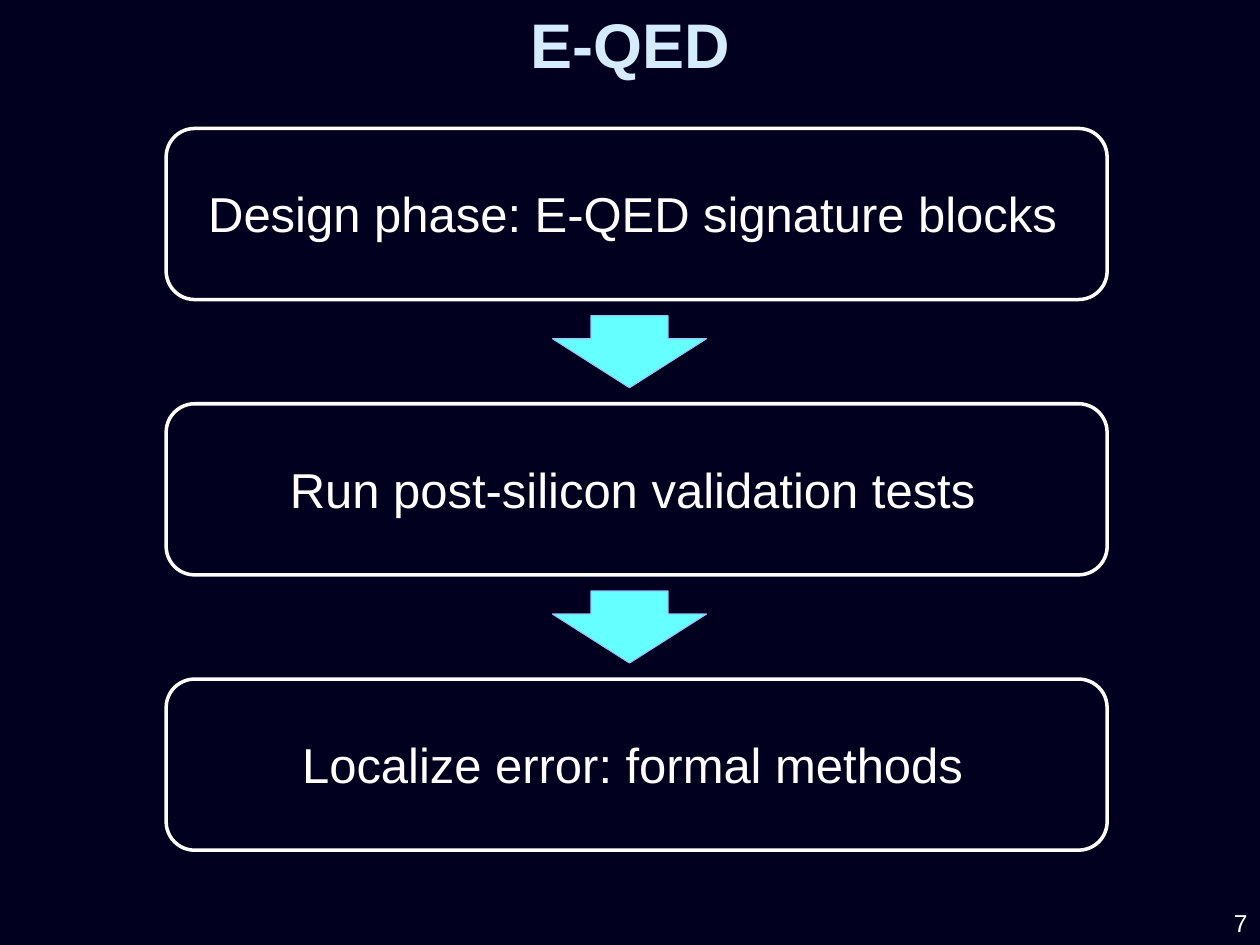
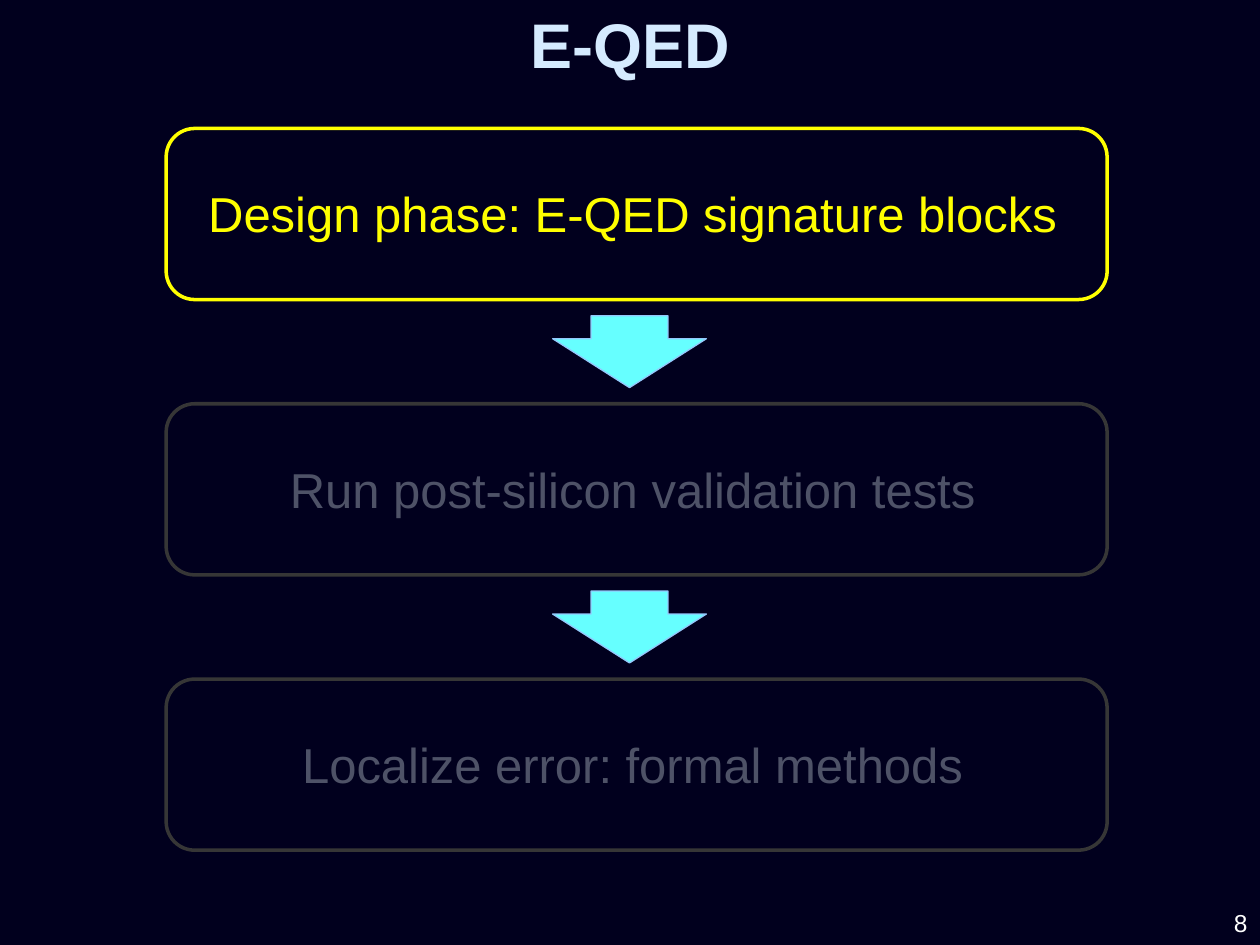
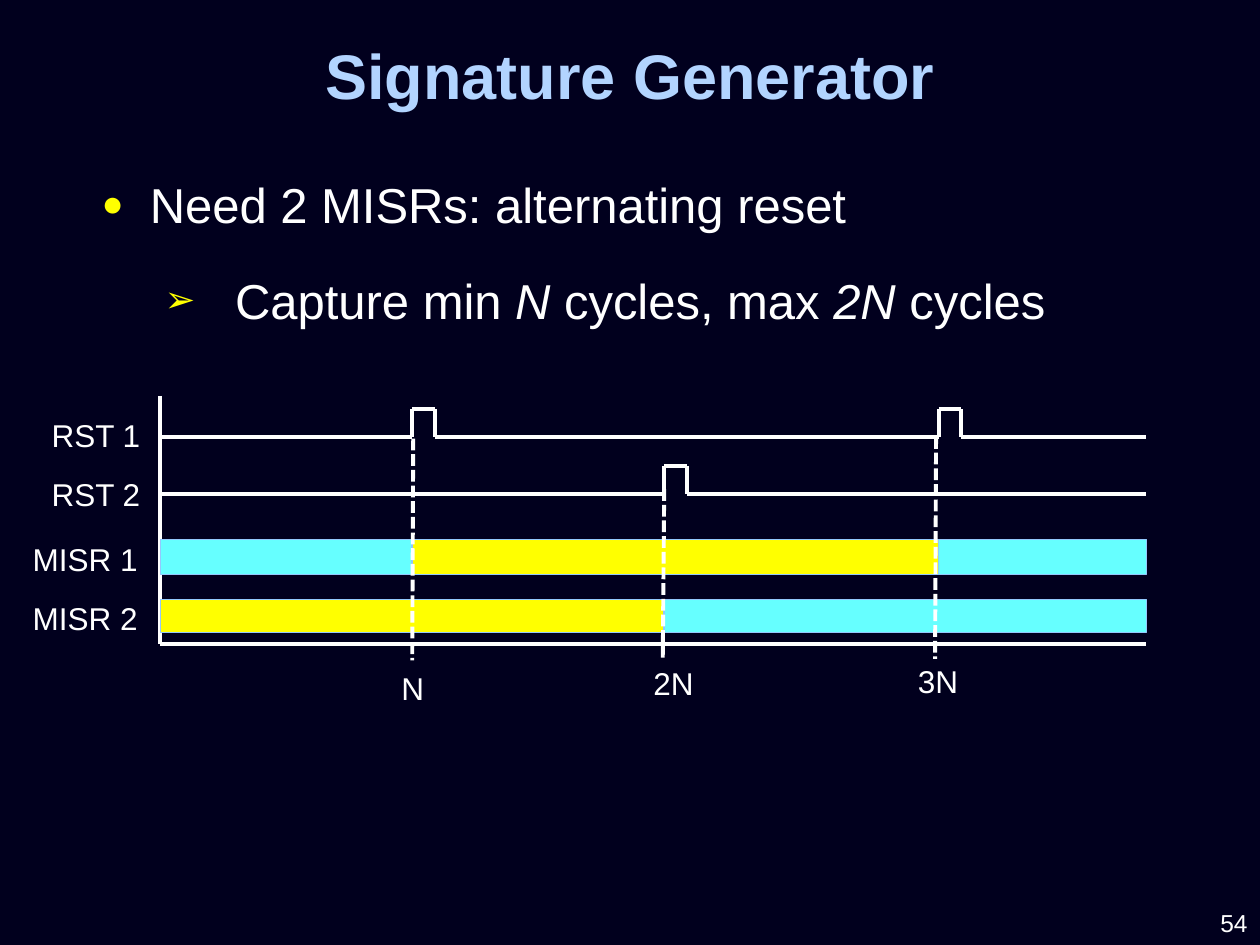
"""Build three slides on E-QED: the flow, its first step, and the signature generator."""
from lxml.etree import SubElement
from pptx import Presentation
from pptx.dml.color import RGBColor
from pptx.enum.dml import MSO_LINE
from pptx.enum.shapes import MSO_CONNECTOR, MSO_SHAPE
from pptx.enum.text import MSO_ANCHOR, PP_ALIGN
from pptx.oxml.ns import qn
from pptx.util import Cm, Pt

FONT = "Arial"
NAVY, WHITE, YELLOW, CYAN = "01001E", "FFFFFF", "FFFF00", "66FFFF"
EDGE_BLUE, PALE_BLUE, SKY_BLUE = "93C8FC", "D5EBFF", "B2D4FF"
DIM_TEXT, DIM_LINE = "4E5267", "363636"
SLIDE_WIDTH, SLIDE_HEIGHT = 25.4, 19.05

STEPS = [
    ("Design phase: E-QED signature blocks", 18.8),
    ("Run post-silicon validation tests", 16.18),
    ("Localize error: formal methods", 17.73),
]
PLAIN, ACTIVE, DIMMED = (WHITE, WHITE), (YELLOW, YELLOW), (DIM_TEXT, DIM_LINE)
FLOWS = [
    ("7", [PLAIN, PLAIN, PLAIN]),
    ("8", [ACTIVE, DIMMED, DIMMED]),
]
STEP_LEFT, STEP_TOP, STEP_WIDTH, STEP_HEIGHT, STEP_PITCH = 3.35, 2.59, 18.97, 3.45, 5.55
STEP_TEXT_CENTER, ARROW_CENTER = 12.75, 12.69
ARROW_WIDTH, ARROW_HEIGHT, ARROW_DROP = 1.45, 3.1, 2.95

BULLETS = [
    ("●", 0.97, -0.97, [("Need 2 MISRs: alternating reset", False)]),
    ("➢", 2.69, -1.42, [("Capture min ", False), ("N", True), (" cycles, max ", False),
                        ("2N", True), (" cycles", False)]),
]

START, N1, N2, N3, END = 3.23, 8.31, 13.39, 18.92, 23.11
AXIS_TOP, AXIS_BOTTOM = 7.98, 12.98
PULSE_WIDTH, PULSE_HEIGHT = 0.46, 0.56
ROW_LABELS = [("RST 1", 0.79, 8.26), ("RST 2", 0.79, 9.45),
              ("MISR 1", 0.41, 10.77), ("MISR 2", 0.41, 11.96)]
RESETS = [(8.81, [N1, N3]), (9.96, [N2])]
REGISTERS = [
    (10.87, 0.71, [(START, N1, CYAN), (N1, N3, YELLOW), (N3, END, CYAN)]),
    (12.09, 0.66, [(START, N2, YELLOW), (N2, END, CYAN)]),
]
MARKS = [
    ("N", (7.19, 13.36), (8.33, 8.84), (8.31, 13.31)),
    ("2N", (12.45, 13.26), (13.39, 9.86), (13.36, 13.31)),
    ("3N", (17.78, 13.23), (18.87, 8.81), (18.85, 13.28)),
]


def color(hex_string):
    return RGBColor.from_string(hex_string)


def fill_runs(paragraph, runs, size, font_color, bold=False):
    for text, italic in runs:
        run = paragraph.add_run()
        run.text = text
        font = run.font
        font.name, font.size, font.bold, font.italic = FONT, Pt(size), bold, italic
        font.color.rgb = color(font_color)


def add_frame(slide, box, anchor=MSO_ANCHOR.TOP):
    frame = slide.shapes.add_textbox(*map(Cm, box)).text_frame
    frame.word_wrap = True
    frame.vertical_anchor = anchor
    return frame


def add_text(slide, text, box, size=18, font_color=WHITE, bold=False,
             align=PP_ALIGN.LEFT, anchor=MSO_ANCHOR.TOP, line_spacing=None):
    paragraph = add_frame(slide, box, anchor).paragraphs[0]
    paragraph.alignment = align
    paragraph.line_spacing = line_spacing
    fill_runs(paragraph, [(text, False)], size, font_color, bold)


def add_box(slide, preset, box, fill=None, line=WHITE, line_width=2):
    shape = slide.shapes.add_shape(preset, *map(Cm, box))
    shape.shadow.inherit = False
    if fill:
        shape.fill.solid()
        shape.fill.fore_color.rgb = color(fill)
    else:
        shape.fill.background()
    shape.line.color.rgb = color(line)
    shape.line.width = Pt(line_width)
    return shape


def add_line(slide, start, end, dash=None):
    connector = slide.shapes.add_connector(MSO_CONNECTOR.STRAIGHT, *map(Cm, start + end))
    connector.line.color.rgb = color(WHITE)
    connector.line.width = Pt(2.25)
    if dash:
        connector.line.dash_style = dash
    SubElement(connector._element.spPr, qn("a:effectLst"))


def add_path(slide, points):
    for start, end in zip(points, points[1:]):
        add_line(slide, start, end)


def set_bullet(paragraph, symbol, margin, indent):
    properties = paragraph._p.get_or_add_pPr()
    properties.set("marL", str(Cm(margin)))
    properties.set("indent", str(Cm(indent)))
    bullet_color = SubElement(properties, qn("a:buClr"))
    SubElement(bullet_color, qn("a:srgbClr"), val=YELLOW)
    SubElement(properties, qn("a:buSzPct"), val="75000")
    SubElement(properties, qn("a:buFont"), typeface=FONT)
    SubElement(properties, qn("a:buChar"), char=symbol)


def add_slide(presentation, title, title_top, title_color, number):
    slide = presentation.slides.add_slide(presentation.slide_layouts[6])
    add_text(slide, title, (0, title_top, SLIDE_WIDTH, 1.27), size=36, font_color=title_color,
             bold=True, align=PP_ALIGN.CENTER, anchor=MSO_ANCHOR.MIDDLE, line_spacing=0.9)
    add_text(slide, number, (20.78, 18.16, 4.62, 0.89), size=14,
             align=PP_ALIGN.RIGHT, anchor=MSO_ANCHOR.MIDDLE)
    return slide


def add_flow(slide, styles):
    for index, ((text, width), (text_color, line_color)) in enumerate(zip(STEPS, styles)):
        top = STEP_TOP + index * STEP_PITCH
        add_box(slide, MSO_SHAPE.ROUNDED_RECTANGLE, (STEP_LEFT, top, STEP_WIDTH, STEP_HEIGHT),
                line=line_color)
        add_text(slide, text, (STEP_TEXT_CENTER - width / 2, top + 0.99, width, 1.45),
                 size=28, font_color=text_color, align=PP_ALIGN.CENTER)
        if index < len(STEPS) - 1:
            arrow = add_box(slide, MSO_SHAPE.RIGHT_ARROW,
                            (ARROW_CENTER - ARROW_WIDTH / 2, top + ARROW_DROP,
                             ARROW_WIDTH, ARROW_HEIGHT),
                            fill=CYAN, line=EDGE_BLUE, line_width=0.75)
            arrow.rotation = 90
            arrow.adjustments[0], arrow.adjustments[1] = 0.5, 0.68


def add_bullets(slide):
    frame = add_frame(slide, (1.8, 2.92, 22.28, 1.85))
    for index, (symbol, margin, indent, runs) in enumerate(BULLETS):
        paragraph = frame.add_paragraph() if index else frame.paragraphs[0]
        paragraph.level = index
        set_bullet(paragraph, symbol, margin, indent)
        paragraph.line_spacing = 1.4
        paragraph.space_after = Pt(8)
        fill_runs(paragraph, runs, 28, WHITE)


def add_timing(slide):
    add_path(slide, [(START, AXIS_TOP), (START, AXIS_BOTTOM), (END, AXIS_BOTTOM)])
    for text, left, top in ROW_LABELS:
        add_text(slide, text, (left, top, 2.84, 1.02))
    for base, pulses in RESETS:
        points = [(START, base)]
        for rise in pulses:
            fall, high = rise + PULSE_WIDTH, base - PULSE_HEIGHT
            points += [(rise, base), (rise, high), (fall, high), (fall, base)]
        add_path(slide, points + [(END, base)])
    for top, height, spans in REGISTERS:
        for left, right, fill in spans:
            add_box(slide, MSO_SHAPE.RECTANGLE, (left, top, right - left, height),
                    fill=fill, line=EDGE_BLUE, line_width=0.75)
    for text, corner, start, end in MARKS:
        add_line(slide, start, end, dash=MSO_LINE.SQUARE_DOT)
        add_text(slide, text, corner + (2.26, 1.02), align=PP_ALIGN.CENTER)


def main():
    presentation = Presentation()
    presentation.slide_width, presentation.slide_height = Cm(SLIDE_WIDTH), Cm(SLIDE_HEIGHT)
    background = presentation.slide_master.background.fill
    background.solid()
    background.fore_color.rgb = color(NAVY)
    for number, styles in FLOWS:
        add_flow(add_slide(presentation, "E-QED", 0.33, PALE_BLUE, number), styles)
    generator = add_slide(presentation, "Signature Generator", 0.97, SKY_BLUE, "54")
    add_bullets(generator)
    add_timing(generator)
    presentation.save("out.pptx")


if __name__ == "__main__":
    main()
